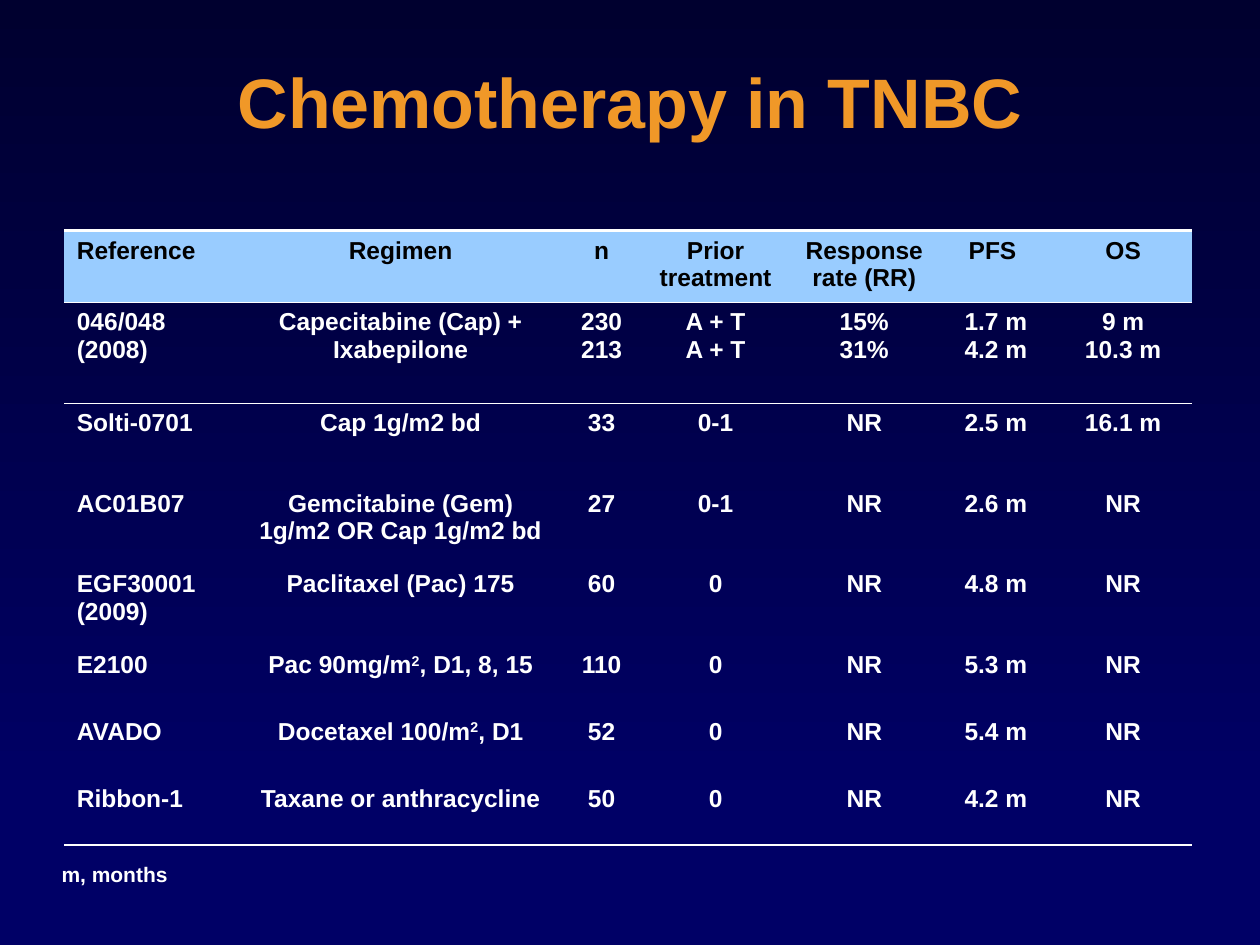
from lxml.etree import SubElement
from pptx import Presentation
from pptx.dml.color import RGBColor
from pptx.enum.shapes import MSO_SHAPE
from pptx.enum.text import MSO_ANCHOR, PP_ALIGN
from pptx.oxml import parse_xml
from pptx.oxml.ns import nsdecls, qn
from pptx.util import Inches, Pt

LEFT, CENTER = PP_ALIGN.LEFT, PP_ALIGN.CENTER
TOP = MSO_ANCHOR.TOP
RECTANGLE = MSO_SHAPE.RECTANGLE

FONT = "Arial"
NIGHT = RGBColor(0x00, 0x00, 0x2F)
NAVY = RGBColor(0x00, 0x00, 0x66)
ORANGE = RGBColor(0xF0, 0x98, 0x28)
SKY = RGBColor(0x99, 0xCC, 0xFF)
BLACK = RGBColor(0x00, 0x00, 0x00)
WHITE = RGBColor(0xFF, 0xFF, 0xFF)
NO_STYLE_NO_GRID = "{2D5ABB26-0587-4C30-8999-92F81FD0307C}"
THICK, THIN = Pt(1.47), Pt(0.45)


def add_run(paragraph, text, size, color):
    run = paragraph.add_run()
    run.text = text
    run.font.name = FONT
    run.font.size = Pt(size)
    run.font.bold = True
    run.font.color.rgb = color
    return run


def add_border(cell, side, width):
    """Draw a white line on one side of a cell; call for the top before the bottom."""
    line = SubElement(cell._tc.get_or_add_tcPr(), qn(f"a:ln{side}"), w=str(width))
    fill = SubElement(line, qn("a:solidFill"))
    SubElement(fill, qn("a:srgbClr"), val=str(WHITE))


prs = Presentation()
prs.slide_width, prs.slide_height = Inches(10), Inches(7.5)
slide = prs.slides.add_slide(prs.slide_layouts[5])
slide.background.fill.solid()
slide.background.fill.fore_color.rgb = NAVY

# Dark fade behind everything
fade = slide.shapes.add_shape(RECTANGLE, 0, 0, prs.slide_width, Inches(6.42))
fade.shadow.inherit = False
fade.line.fill.background()
fade.fill.gradient()
fade.fill.gradient_angle = 270
for stop, color, position in zip(fade.fill.gradient_stops, (NIGHT, NAVY), (0, 1)):
    stop.color.rgb = color
    stop.position = position
slide.shapes.element.insert(2, fade.element)

# Title
title = slide.shapes.title
title.left, title.top = Inches(0.37), Inches(0.49)
title.width, title.height = Inches(9.26), Inches(1.25)
heading = title.text_frame
heading.vertical_anchor = TOP
heading.margin_top = Inches(0.08)
heading.paragraphs[0].alignment = CENTER
heading.paragraphs[0].line_spacing = 0.85
heading_run = add_run(heading.paragraphs[0], "Chemotherapy in TNBC", 40, ORANGE)
heading_run.font.fill._xPr.find(qn("a:solidFill")).addnext(parse_xml(
    f'<a:effectLst {nsdecls("a")}><a:outerShdw dist="38100" dir="2700000">'
    '<a:srgbClr val="000000"/></a:outerShdw></a:effectLst>'))

# Trials: a line break starts a new paragraph, carets enclose a superscript
trials = [
    ("Reference", "Regimen", "n", "Prior treatment", "Response rate (RR)", "PFS ", "OS"),
    ("046/048 (2008)", "Capecitabine (Cap) + Ixabepilone", "230\n213", "A + T\nA + T",
     "15%\n31%", "1.7 m\n4.2 m", "9 m\n10.3 m"),
    ("Solti-0701", "Cap 1g/m2 bd", "33", "0-1", "NR", "2.5 m", "16.1 m"),
    ("AC01B07", "Gemcitabine (Gem) 1g/m2 OR Cap 1g/m2 bd", "27", "0-1", "NR", "2.6 m", "NR"),
    ("EGF30001 (2009)", "Paclitaxel (Pac) 175", "60", "0", "NR", "4.8 m", "NR"),
    ("E2100", "Pac 90mg/m^2^, D1, 8, 15", "110", "0", "NR", "5.3 m", "NR"),
    ("AVADO", "Docetaxel 100/m^2^, D1", "52", "0", "NR", "5.4 m", "NR"),
    ("Ribbon-1", "Taxane or anthracycline", "50", "0", "NR", "4.2 m", "NR"),
]
column_widths = [1.38, 2.58, 0.61, 1.2, 1.16, 0.93, 1.09]
row_heights = [0.57, 0.8] + [0.64] * 3 + [0.53] * 3

frame = slide.shapes.add_table(
    len(row_heights), len(column_widths), Inches(0.51), Inches(1.83),
    Inches(sum(column_widths)), Inches(sum(row_heights)))
table = frame.table
table.horz_banding = False
next(frame.element.iter(qn("a:tableStyleId"))).text = NO_STYLE_NO_GRID
for column, width in zip(table.columns, column_widths):
    column.width = Inches(width)
for row, height in zip(table.rows, row_heights):
    row.height = Inches(height)

last = len(trials) - 1
for r, trial in enumerate(trials):
    for c, entry in enumerate(trial):
        cell = table.cell(r, c)
        if r <= 1:
            add_border(cell, "T", THICK if r == 0 else THIN)
        if r in (0, last):
            add_border(cell, "B", THIN if r == 0 else THICK)
        if r == 0:
            cell.fill.solid()
            cell.fill.fore_color.rgb = SKY
        else:
            cell.fill.background()
        for i, line in enumerate(entry.split("\n")):
            paragraph = cell.text_frame.paragraphs[0] if i == 0 else cell.text_frame.add_paragraph()
            paragraph.alignment = LEFT if c == 0 else CENTER
            for part, text in enumerate(line.split("^")):
                run = add_run(paragraph, text, 14, BLACK if r == 0 else WHITE)
                if part % 2:
                    run.font._element.set("baseline", "30000")

# Footnote
footnote = slide.shapes.add_textbox(Inches(0.39), Inches(6.79), Inches(9.56), Inches(0.3))
footnote.text_frame.word_wrap = True
add_run(footnote.text_frame.paragraphs[0], "m, months", 12, WHITE)

prs.save("out.pptx")
